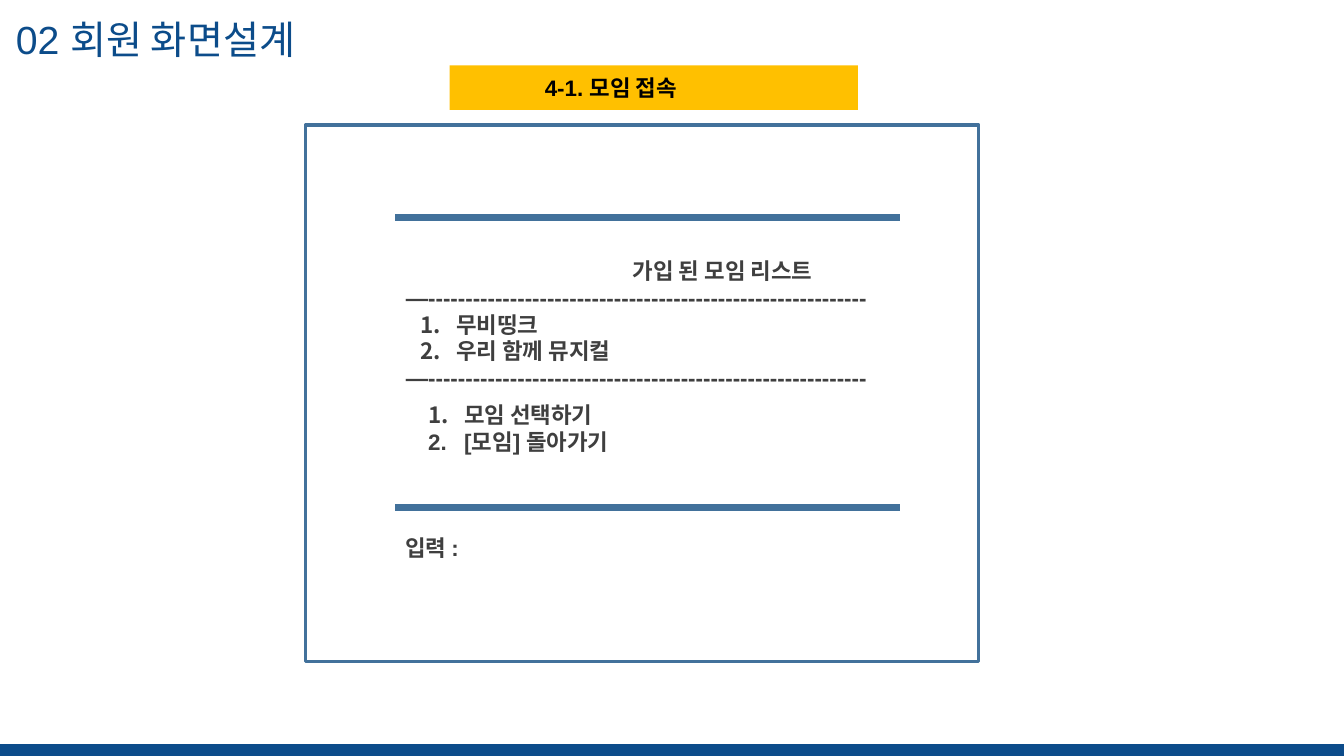
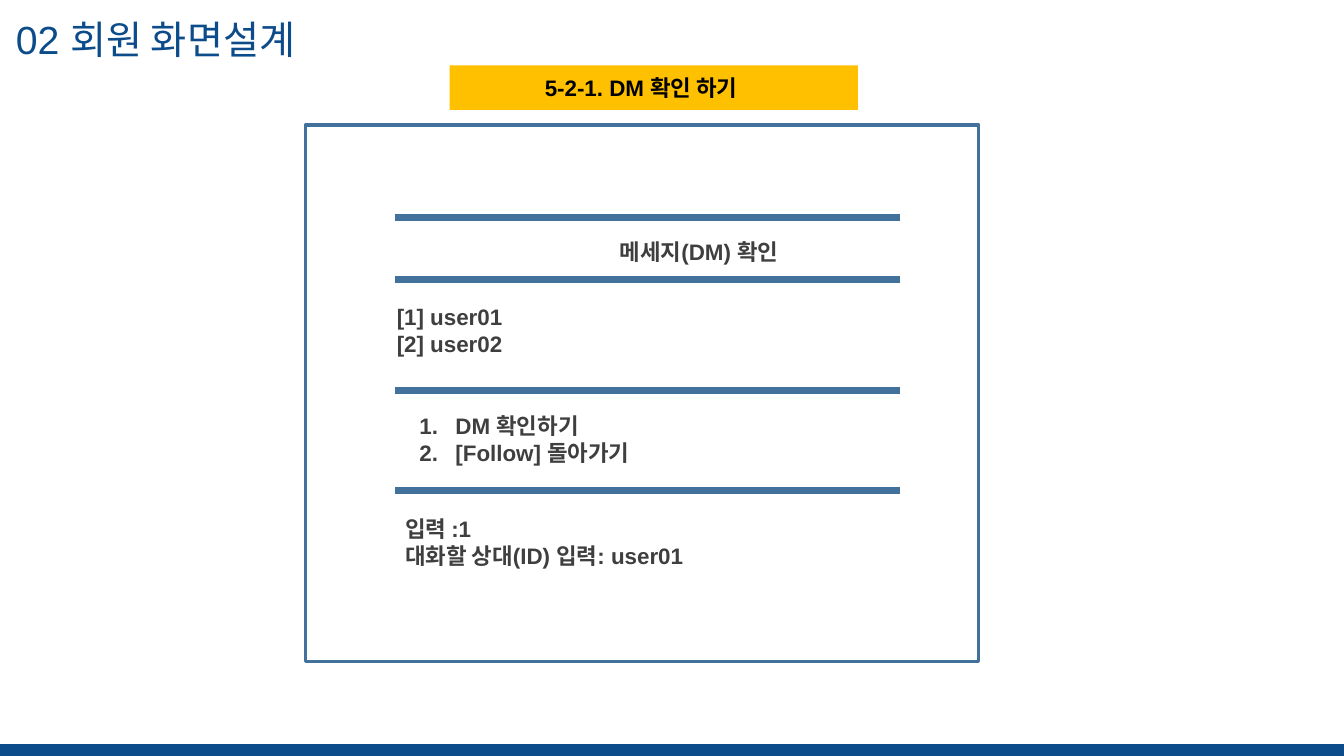
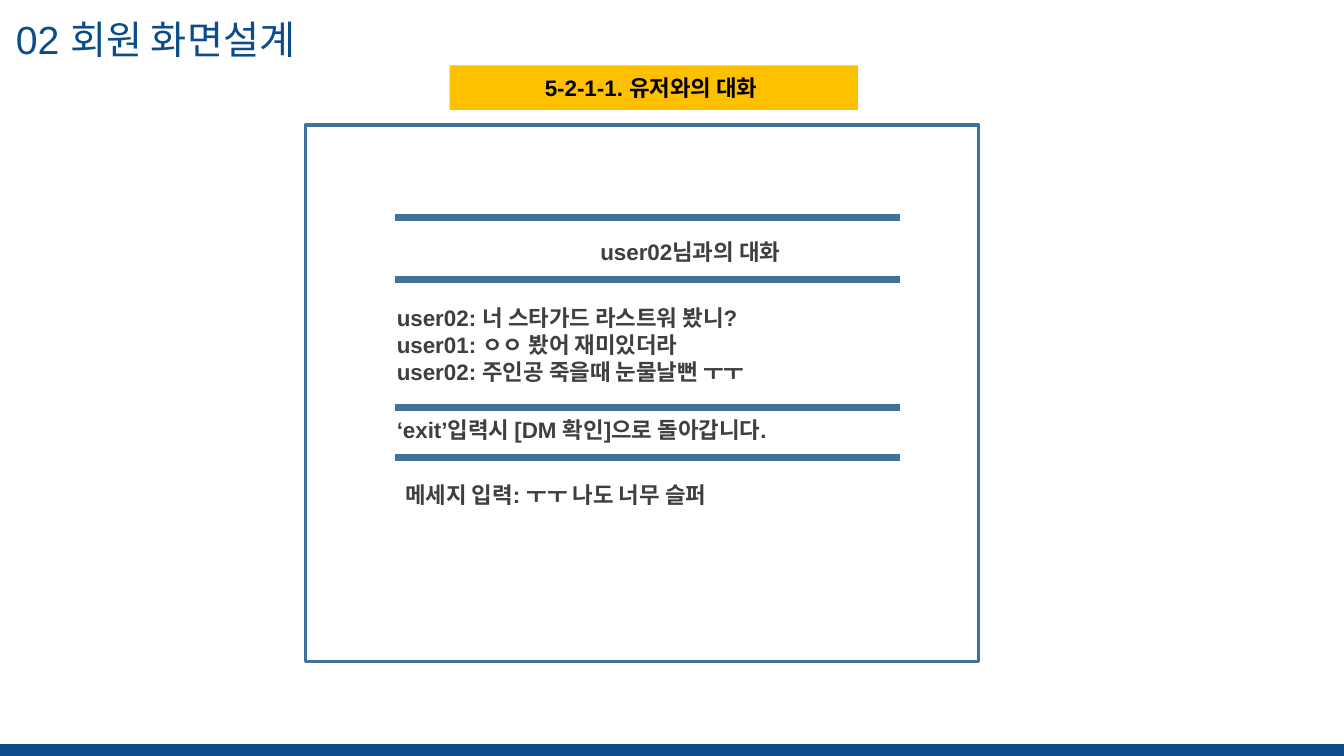
"""Build three member screen design slides."""
from pptx import Presentation
from pptx.dml.color import RGBColor
from pptx.enum import shapes, text
from pptx.oxml import parse_xml
from pptx.oxml.ns import nsdecls
from pptx.util import Cm, Pt

NAVY = RGBColor(0x0C, 0x4C, 0x8A)
BLUE = RGBColor(0x42, 0x71, 0x9B)
GOLD = RGBColor(0xFF, 0xC0, 0x00)
GREY = RGBColor(0x3F, 0x3F, 0x3F)
BLACK = RGBColor(0, 0, 0)

FONT = "Arial"
TITLE = "02 회원 화면설계"
DASH = "—-----------------------------------------------------------"
NUM = "num"
WIDE, HIGH = 33.87, 19.05
BAND = 0.3
LEFT, RIGHT = 9.96, 22.68
BODY = 12.29
LINE, PAD = 0.68, 0.26

SCREENS = [
    {"label": "4-1. 모임 접속",
     "rules": [5.49, 12.8],
     "blocks": [
         (9.98, 6.35, [("가입 된 모임 리스트", 5.72), (DASH, 0), ("무비띵크", NUM),
                       ("우리 함께 뮤지컬", NUM), (DASH, 0)]),
         (10.18, 9.98, [("모임 선택하기", NUM), ("[모임] 돌아가기", NUM)]),
         (9.96, 13.34, [("입력 :", 0)])]},
    {"label": "5-2-1. DM 확인 하기",
     "rules": [5.49, 7.04, 9.83, 12.37],
     "blocks": [
         (9.98, 5.87, [("메세지(DM) 확인", 5.39)]),
         (9.75, 7.52, [("[1] user01", 0), ("[2] user02", 0)]),
         (9.96, 10.26, [("DM 확인하기", NUM), ("[Follow] 돌아가기", NUM)]),
         (9.96, 12.85, [("입력 :1", 0), ("대화할 상대(ID) 입력: user01", 0)])]},
    {"label": "5-2-1-1. 유저와의 대화",
     "rules": [5.49, 7.04, 10.26, 11.53],
     "blocks": [
         (9.98, 5.87, [("user02님과의 대화", 4.9)]),
         (9.75, 7.54, [("user02: 너 스타가드 라스트워 봤니?", 0),
                       ("user01: ㅇㅇ 봤어 재미있더라", 0),
                       ("user02: 주인공 죽을때 눈물날뻔 ㅜㅜ", 0)]),
         (9.75, 10.36, [("‘exit’입력시 [DM 확인]으로 돌아갑니다.", 0)]),
         (9.96, 12.01, [("메세지 입력: ㅜㅜ 나도 너무 슬퍼", 0)])]},
]


def style(para, size, color, bold):
    for run in para.runs:
        font = run.font
        font.name, font.size, font.bold = FONT, Pt(size), bold
        font.color.rgb = color


def add_rect(slide, x, y, w, h, fill=None, line=None):
    rect = slide.shapes.add_shape(
        shapes.MSO_SHAPE.RECTANGLE, Cm(x), Cm(y), Cm(w), Cm(h))
    rect.shadow.inherit = False
    if fill is None:
        rect.fill.background()
    else:
        rect.fill.solid()
        rect.fill.fore_color.rgb = fill
    if line is None:
        rect.line.fill.background()
    else:
        rect.line.color.rgb = line
        rect.line.width = Pt(2.25)
    return rect


def add_rule(slide, y):
    rule = slide.shapes.add_connector(
        shapes.MSO_CONNECTOR.STRAIGHT, Cm(LEFT), Cm(y), Cm(RIGHT), Cm(y))
    rule.line.color.rgb = BLUE
    rule.line.width = Pt(5)
    rule._element.spPr.append(parse_xml(f"<a:effectLst {nsdecls('a')}/>"))


def indent(para, mark):
    props = para._p.get_or_add_pPr()
    if mark == NUM:
        props.set("marL", str(Cm(1.27)))
        props.set("indent", str(Cm(-0.91)))
        props.append(parse_xml(
            f"<a:buFont {nsdecls('a')} typeface='{FONT}'/>"))
        props.append(parse_xml(
            f"<a:buAutoNum {nsdecls('a')} type='arabicPeriod'/>"))
    elif mark:
        props.set("marL", str(Cm(mark)))
        props.set("indent", "0")


def add_text(slide, x, y, w, h, lines, size=16, color=GREY, bold=True):
    frame = slide.shapes.add_textbox(Cm(x), Cm(y), Cm(w), Cm(h)).text_frame
    frame.word_wrap = True
    frame.text = "\n".join(line for line, mark in lines)
    for para, (line, mark) in zip(frame.paragraphs, lines):
        indent(para, mark)
        style(para, size, color, bold)


def add_label(slide, label):
    box = add_rect(slide, 11.33, 1.65, 10.29, 1.12, GOLD)
    frame = box.text_frame
    frame.text = label
    frame.margin_left = Cm(2.4)
    frame.vertical_anchor = text.MSO_ANCHOR.MIDDLE
    para = frame.paragraphs[0]
    para.alignment = text.PP_ALIGN.LEFT
    style(para, 16, BLACK, True)


def add_screen(deck, screen):
    slide = deck.slides.add_slide(deck.slide_layouts[6])
    add_rect(slide, 7.7, 3.15, 16.97, 13.51, line=BLUE)
    add_rect(slide, 0, HIGH - BAND, WIDE, BAND, NAVY)
    add_text(slide, 0.15, 0.25, 19.94, 1.45, [(TITLE, 0)], 28, NAVY, False)
    add_label(slide, screen["label"])
    for y in screen["rules"]:
        add_rule(slide, y)
    for x, y, lines in screen["blocks"]:
        add_text(slide, x, y, BODY, PAD + LINE * len(lines), lines)


def main():
    deck = Presentation()
    deck.slide_width, deck.slide_height = Cm(WIDE), Cm(HIGH)
    for screen in SCREENS:
        add_screen(deck, screen)
    deck.save("out.pptx")


if __name__ == "__main__":
    main()
